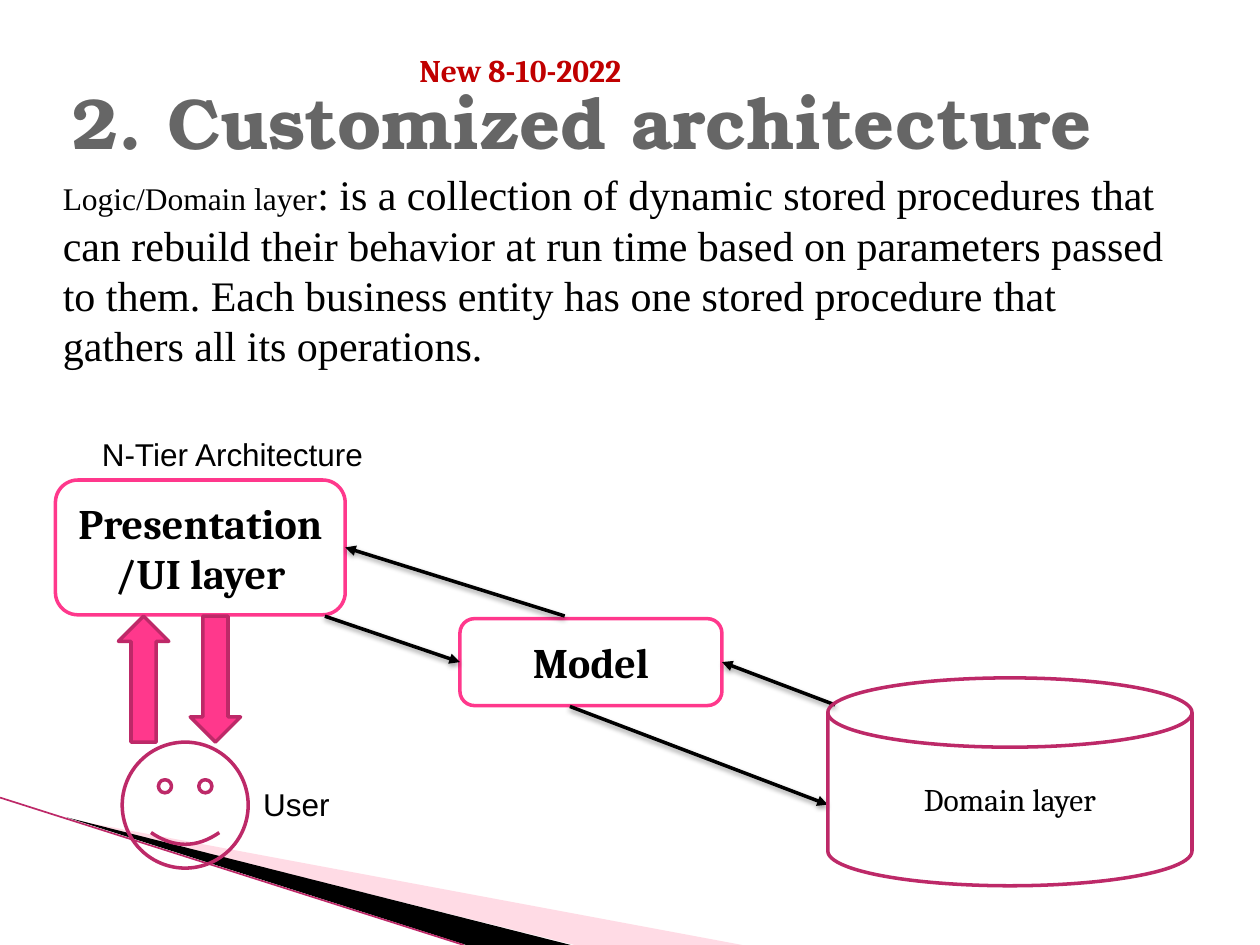
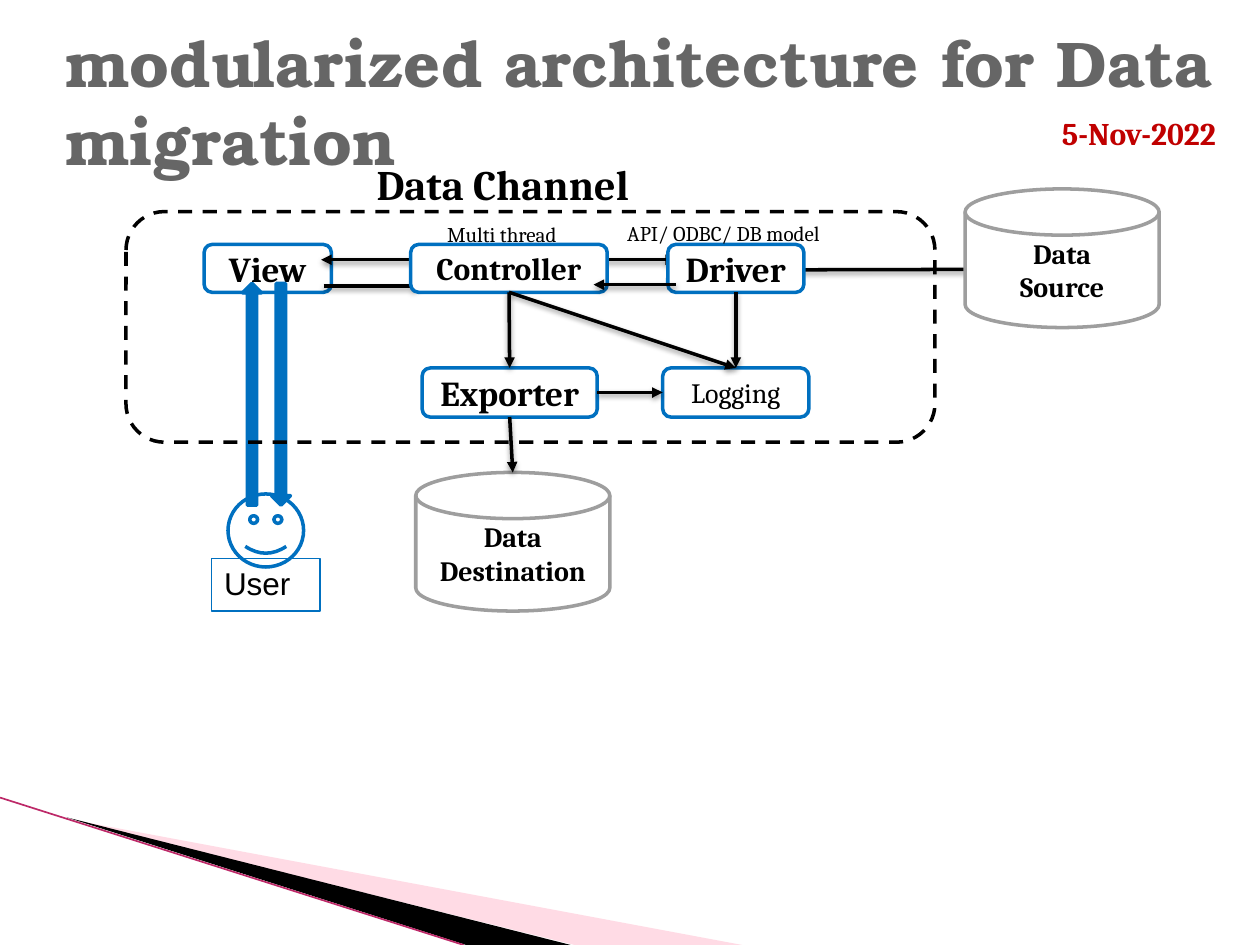
from dataclasses import dataclass

from lxml import etree
from pptx import Presentation
from pptx.dml.color import RGBColor
from pptx.enum.dml import MSO_LINE
from pptx.enum.shapes import MSO_CONNECTOR, MSO_SHAPE
from pptx.enum.text import MSO_ANCHOR, PP_ALIGN
from pptx.oxml.ns import qn
from pptx.util import Inches, Pt

ROUNDED, RECTANGLE = MSO_SHAPE.ROUNDED_RECTANGLE, MSO_SHAPE.RECTANGLE
DISK, SMILEY = MSO_SHAPE.FLOWCHART_MAGNETIC_DISK, MSO_SHAPE.SMILEY_FACE
UP, DOWN = MSO_SHAPE.UP_ARROW, MSO_SHAPE.DOWN_ARROW
STRAIGHT, DASHED = MSO_CONNECTOR.STRAIGHT, MSO_LINE.DASH
LEFT, CENTER = PP_ALIGN.LEFT, PP_ALIGN.CENTER
TOP, MIDDLE = MSO_ANCHOR.TOP, MSO_ANCHOR.MIDDLE

BLACK = RGBColor(0, 0, 0)
WHITE = RGBColor(0xFF, 0xFF, 0xFF)
TITLE_GRAY = RGBColor(0x66, 0x66, 0x66)
STORE_GRAY = RGBColor(0x9E, 0x9E, 0x9E)
DATE_RED = RGBColor(0xC0, 0, 0)
PINK = RGBColor(0xFF, 0x38, 0x8C)
DARK_PINK = RGBColor(0xBD, 0x29, 0x68)
PALE_PINK = RGBColor(0xFF, 0xA5, 0xBF)
BLUE = RGBColor(0, 0x70, 0xC0)

CELL = 0.1  # inches per grid column and row

TITLE = {"name": "TeX Gyre Bonum", "bold": True, "color": TITLE_GRAY}
DATE = {"name": "Cambria", "size": 18, "bold": True, "color": DATE_RED}
HEADING = {"name": "Cambria", "size": 24, "bold": True}
MODULE = {**HEADING, "size": 20}
STORE = {**HEADING, "size": 16}
NOTE = {"name": "Cambria", "size": 12}
LABEL = {"name": "Arial", "size": 18}
BODY = {"name": "Times New Roman", "size": 24}


@dataclass
class Box:
    """An area measured in grid cells."""
    left: float
    top: float
    width: float
    height: float

    def inner(self, col, row, width, height):
        return Box(self.left + col, self.top + row, width, height)

    def point(self, across, down):
        """A spot given as shares of the box's width and height."""
        return self.left + across * self.width, self.top + down * self.height

    def emu(self):
        return [cells(v) for v in (self.left, self.top, self.width, self.height)]


def cells(count):
    return Inches(count * CELL)


def style_font(font, style):
    for name, value in {"color": BLACK, **style}.items():
        if name == "color":
            font.color.rgb = value
        else:
            setattr(font, name, Pt(value) if name == "size" else value)


def write(shape, paragraphs, align=LEFT, anchor=TOP, wrap=True):
    """Fill a shape with paragraphs, each a list of (text, style) runs."""
    frame = shape.text_frame
    for name, value in {"word_wrap": wrap, "vertical_anchor": anchor}.items():
        setattr(frame, name, value)
    for index, runs in enumerate(paragraphs):
        paragraph = frame.add_paragraph() if index else frame.paragraphs[0]
        paragraph.alignment = align
        for text, style in runs:
            run = paragraph.add_run()
            run.text = text
            style_font(run.font, style)


def add_text(slide, box, text, style, **layout):
    write(slide.shapes.add_textbox(*box.emu()), [[(text, style)]], **layout)


def paint(shape, fill=None, line=None, weight=2):
    shape.shadow.inherit = False
    if fill is None:
        shape.fill.background()
    else:
        shape.fill.solid()
        shape.fill.fore_color.rgb = fill
    if line is None:
        shape.line.fill.background()
    else:
        shape.line.color.rgb = line
        shape.line.width = Pt(weight)


def add_node(slide, kind, box, text="", style=None, **look):
    """A painted shape whose text lines are centred in it."""
    node = slide.shapes.add_shape(kind, *box.emu())
    paint(node, **look)
    if text:
        write(node, [[(line, style)] for line in text.split("\n")], CENTER, MIDDLE)
    return node


def add_line(slide, start, end, color=BLACK, weight=2):
    line = slide.shapes.add_connector(STRAIGHT, *map(cells, (*start, *end)))
    line.line.color.rgb = color
    line.line.width = Pt(weight)
    effects = etree.SubElement(line._element.spPr, qn("a:effectLst"))
    return line, effects


def add_arrow(slide, start, end):
    """A black arrow with a soft shadow below it."""
    arrow, effects = add_line(slide, start, end)
    outline = arrow._element.spPr.find(qn("a:ln"))
    etree.SubElement(outline, qn("a:tailEnd"), type="triangle")
    shadow = etree.SubElement(effects, qn("a:outerShdw"), blurRad=str(Pt(3.1)),
                              dist=str(Pt(1.6)), dir="5400000", rotWithShape="0")
    tint = etree.SubElement(shadow, qn("a:srgbClr"), val=str(BLACK))
    etree.SubElement(tint, qn("a:alpha"), val="38000")


def corner_band(slide, page):
    """Two wedges and a thin line that sweep over the bottom left corner."""
    wedges = (
        (PALE_PINK, 40, [(0.055, 0.867), (0.589, 1), (0.456, 1)]),
        (BLACK, 100, [(0.053, 0.865), (0.453, 1), (0.37, 1)]),
    )
    for color, opacity, shares in wedges:
        start, *others = [tuple(map(cells, page.point(*share))) for share in shares]
        builder = slide.shapes.build_freeform(*start)
        builder.add_line_segments(others)
        wedge = builder.convert_to_shape()
        paint(wedge, color)
        tint = wedge._element.spPr.find(qn("a:solidFill"))[0]
        etree.SubElement(tint, qn("a:alpha"), val=str(opacity * 1000))
    add_line(slide, page.point(0, 0.844), page.point(0.368, 1), DARK_PINK, 0.95)


def header(slide, title_box, title, size, date_box, date):
    add_text(slide, title_box, title, {**TITLE, "size": size}, anchor=MIDDLE)
    add_text(slide, date_box, date, DATE)


def layer_description(slide, box):
    text = slide.shapes.add_textbox(*box.emu())
    write(text, [[
        ("Logic/Domain layer", {**BODY, "size": 18}),
        (": is a collection of dynamic stored procedures that can rebuild their "
         "behavior at run time based on parameters passed to them. Each business "
         "entity has one stored procedure that gathers all its operations.", BODY),
    ]])


def tier_diagram(slide, box):
    presentation = box.inner(0.4, 4.1, 23, 10.7)
    model = box.inner(32.5, 15.1, 20.8, 6.9)
    domain = box.inner(61.7, 19.8, 28.9, 16.5)
    user = box.inner(5.7, 24.9, 10, 10)

    add_text(slide, box.inner(3.1, 0, 23, 4), "N-Tier Architecture", LABEL, wrap=False)
    for layer, name in ((presentation, "Presentation/UI layer"), (model, "Model")):
        add_node(slide, ROUNDED, layer, name, HEADING, fill=WHITE, line=PINK)
    for kind, col in ((DOWN, 11.1), (UP, 5.4)):
        add_node(slide, kind, box.inner(col, 14.9, 4, 10), fill=PINK, line=DARK_PINK)
    add_text(slide, user.inner(10.2, 2.9, 7.8, 4.2), "User", LABEL)

    for start, end in (
        (domain.point(0.02, 0.13), model.point(1, 0.5)),
        (model.point(0.42, 1.01), domain.point(0, 0.61)),
        (presentation.point(0.93, 1.01), model.point(0, 0.5)),
        (model.point(0.4, -0.03), presentation.point(1, 0.5)),
    ):
        add_arrow(slide, start, end)
    add_node(slide, DISK, domain, "Domain layer", {**NOTE, "size": 18}, line=DARK_PINK)
    add_node(slide, SMILEY, user, line=DARK_PINK)


def channel_user(slide, box):
    """The user with the two arrows that reach up to the view."""
    for kind, col in ((DOWN, 4.75), (UP, 2.45)):
        add_node(slide, kind, box.inner(col, 0, 1.5, 17.6), fill=BLUE, line=BLUE)
    frame = add_node(slide, RECTANGLE, box.inner(0, 21.8, 8.6, 4.2), line=BLUE, weight=0.75)
    write(frame, [[("User", LABEL)]])
    add_node(slide, SMILEY, box.inner(1.3, 16.7, 6, 5.8), line=BLUE)


def data_channel(slide, box):
    view = box.inner(6.2, 2.6, 10.1, 3.8)
    controller = box.inner(22.6, 2.6, 15.6, 3.8)
    driver = box.inner(43, 2.6, 10.8, 3.8)
    exporter = box.inner(23.5, 12.4, 13.9, 3.9)
    logging = box.inner(42.6, 12.4, 11.6, 3.9)
    source = box.inner(66.6, -1.8, 15.4, 11)
    destination = box.inner(23, 20.7, 15.4, 11)

    def module(area, name, style=MODULE):
        add_node(slide, ROUNDED, area, name, style, fill=WHITE, line=BLUE)

    def arrows(*pairs):
        for start, end in pairs:
            add_arrow(slide, start, end)

    module(view, "View")
    channel_user(slide, box.inner(6.8, 5.7, 8.6, 26))
    arrows(
        (controller.point(0.93, 0.32), driver.point(0.06, 0.32)),
        (source.point(0.09, 0.58), driver.point(0.89, 0.53)),
        (view.point(0.94, 0.87), controller.point(0.06, 0.87)),
        (controller.point(0.07, 0.32), view.point(0.92, 0.32)),
    )
    for store, name in ((source, "Data\nSource"), (destination, "Data\nDestination")):
        add_node(slide, DISK, store, name, STORE, fill=WHITE, line=STORE_GRAY)
    module(driver, "Driver")
    add_text(slide, box.inner(38.8, 0.2, 20.7, 3), "API/ ODBC/ DB model", NOTE)
    module(controller, "Controller", {**MODULE, "size": 18})
    add_text(slide, box.inner(24.5, 0.3, 12.4, 3), "Multi thread", NOTE)
    add_text(slide, box.inner(18.1, -4.7, 23.6, 5), "Data Channel", HEADING, align=CENTER)
    module(logging, "Logging", {**NOTE, "size": 16})
    module(exporter, "Exporter")
    add_node(slide, ROUNDED, box, line=BLACK).line.dash_style = DASHED
    arrows(
        (controller.point(0.5, 1), logging.point(0.5, 0)),
        (driver.point(0.5, 1), logging.point(0.5, 0)),
        (controller.point(0.5, 1), exporter.point(0.5, 0)),
        (driver.point(0.06, 0.84), controller.point(0.93, 0.84)),
        (exporter.point(0.5, 1), destination.point(0.5, 0)),
        (exporter.point(1, 0.5), logging.point(0, 0.5)),
    )


def customized_architecture(slide, page):
    corner_band(slide, page)
    layer_description(slide, page.inner(4, 12.9, 90.6, 17.2))
    header(slide, page.inner(4.7, 5, 95, 9.2), "2. Customized architecture", 41,
           page.inner(32.3, 3.6, 19.3, 4), "New 8-10-2022")
    tier_diagram(slide, page.inner(4, 34, 90.6, 36.3))


def data_migration(slide, page):
    corner_band(slide, page)
    header(slide, page.inner(4.2, 3.4, 95, 9.2),
           "modularized architecture for Data migration", 36.9,
           page.inner(83.3, 8.6, 15.7, 4), "5-Nov-2022")
    data_channel(slide, page.inner(10, 16.8, 64.2, 18.3))


def main():
    deck = Presentation()
    page = Box(0, 0, 100, 75)
    deck.slide_width, deck.slide_height = cells(page.width), cells(page.height)
    blank = deck.slide_layouts[6]
    for build in (customized_architecture, data_migration):
        build(deck.slides.add_slide(blank), page)
    deck.save("out.pptx")


if __name__ == "__main__":
    main()
